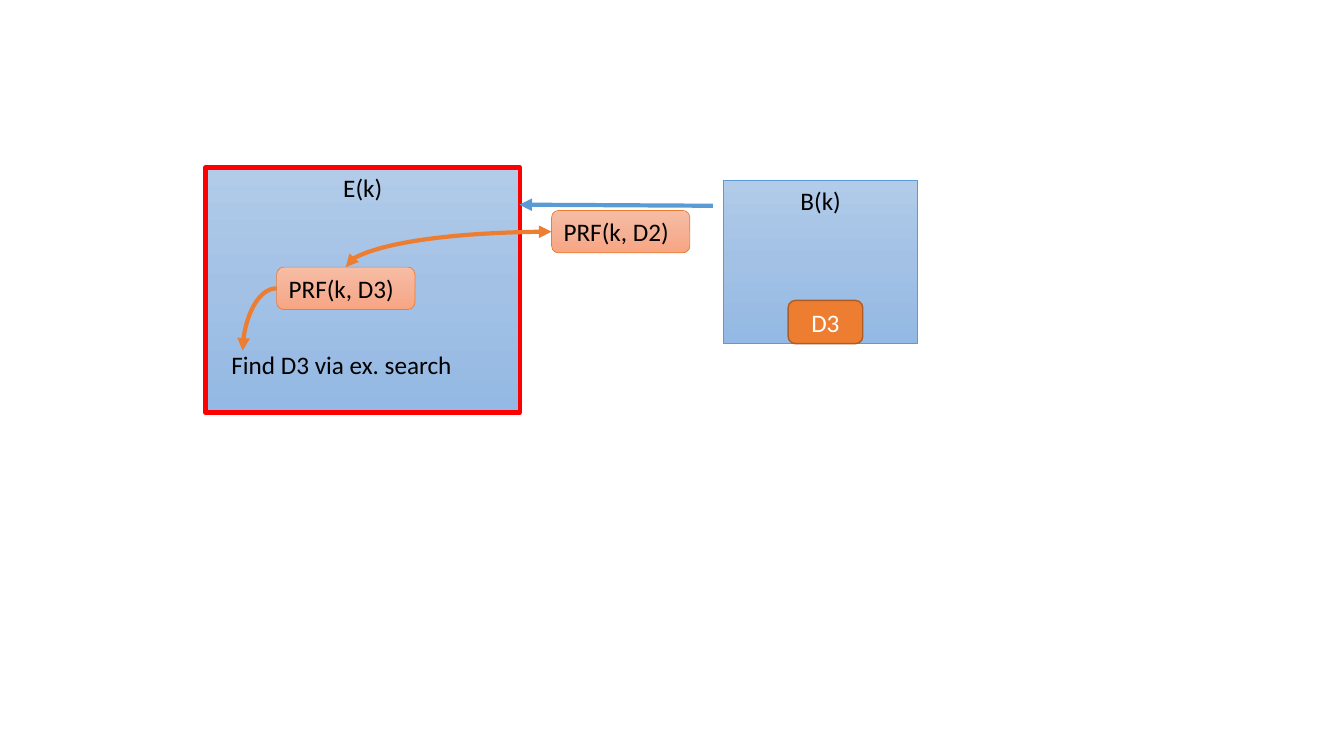
"""Build the slide on the PRF key search between E(k) and B(k)."""
from copy import deepcopy

from pptx import Presentation
from pptx.dml.color import RGBColor
from pptx.enum.shapes import MSO_CONNECTOR as CONNECTOR, MSO_SHAPE as SHAPE
from pptx.enum.text import MSO_ANCHOR as ANCHOR, MSO_AUTO_SIZE as AUTO_SIZE, PP_ALIGN as ALIGN
from pptx.oxml.ns import qn
from pptx.oxml.xmlchemy import OxmlElement
from pptx.util import Pt

BLACK = RGBColor(0x00, 0x00, 0x00)
WHITE = RGBColor(0xFF, 0xFF, 0xFF)
RED = RGBColor(0xFF, 0x00, 0x00)
BLUE = RGBColor(0x5B, 0x9B, 0xD5)
ORANGE = RGBColor(0xED, 0x7D, 0x31)
BROWN = RGBColor(0xAF, 0x5C, 0x24)
BLUE_SHADES = [RGBColor(0xB1, 0xCB, 0xE9), RGBColor(0xA3, 0xC1, 0xE5), RGBColor(0x93, 0xB9, 0xE4)]
ORANGE_SHADES = [RGBColor(0xF7, 0xBD, 0xA5), RGBColor(0xF5, 0xB1, 0x96), RGBColor(0xF8, 0xA5, 0x82)]


def write(shape, text, color, align, anchor):
    frame = shape.text_frame
    frame.text = text
    frame.vertical_anchor = anchor
    paragraph = frame.paragraphs[0]
    paragraph.alignment = align
    font = paragraph.runs[0].font
    font.name, font.size = "Calibri", Pt(18)
    font.color.rgb = color


def shade_downwards(shape, shades):
    fill = shape.fill
    fill.gradient()
    fill.gradient_angle = 270
    stop_list = shape._element.spPr.find(qn("a:gradFill")).find(qn("a:gsLst"))
    stop_list.insert(1, deepcopy(stop_list[0]))
    for index, (stop, shade) in enumerate(zip(fill.gradient_stops, shades)):
        stop.position = index / 2
        stop.color.rgb = shade


def add_box(slide, kind, box, text, shades, outline, weight,
            color=BLACK, align=ALIGN.CENTER, anchor=ANCHOR.MIDDLE):
    shape = slide.shapes.add_shape(kind, *map(Pt, box))
    shape.shadow.inherit = False
    if len(shades) > 1:
        shade_downwards(shape, shades)
    else:
        shape.fill.solid()
        shape.fill.fore_color.rgb = shades[0]
    shape.line.color.rgb = outline
    shape.line.width = Pt(weight)
    write(shape, text, color, align, anchor)


def add_party(slide, box, text, outline, weight):
    add_box(slide, SHAPE.RECTANGLE, box, text, BLUE_SHADES, outline, weight, anchor=ANCHOR.TOP)


def add_prf(slide, left, top, text):
    add_box(slide, SHAPE.ROUNDED_RECTANGLE, (left, top, 98.8, 30.3), text,
            ORANGE_SHADES, ORANGE, 0.5, align=ALIGN.LEFT)


def add_label(slide, box, text):
    label = slide.shapes.add_textbox(*map(Pt, box))
    label.text_frame.word_wrap = False
    label.text_frame.auto_size = AUTO_SIZE.SHAPE_TO_FIT_TEXT
    write(label, text, BLACK, ALIGN.LEFT, ANCHOR.TOP)


def add_arrow(slide, start, end, color, curved=False, ends=("tailEnd",)):
    kind = CONNECTOR.CURVE if curved else CONNECTOR.STRAIGHT
    arrow = slide.shapes.add_connector(kind, *map(Pt, start + end))
    arrow.line.color.rgb = color
    arrow.line.width = Pt(3)
    properties = arrow._element.spPr
    if curved:
        properties.find(qn("a:prstGeom")).set("prst", "curvedConnector2")
    for end_name in ends:
        head = OxmlElement(f"a:{end_name}")
        head.set("type", "triangle")
        arrow.line._get_or_add_ln().append(head)
    properties.append(OxmlElement("a:effectLst"))


def main():
    presentation = Presentation()
    presentation.slide_width, presentation.slide_height = Pt(960), Pt(540)
    slide = presentation.slides.add_slide(presentation.slide_layouts[6])

    add_party(slide, (146.8, 119.7, 224.6, 175), "E(k)", RED, 3)
    add_party(slide, (516.8, 128.9, 138.8, 116.4), "B(k)", BLUE, 0.5)
    add_box(slide, SHAPE.ROUNDED_RECTANGLE, (563, 214.6, 53.3, 30.9), "D3",
            [ORANGE], BROWN, 1, color=WHITE)
    add_arrow(slide, (509.2, 147), (371, 146.2), BLUE)
    add_prf(slide, 394, 150.3, "PRF(k, D2)")
    add_prf(slide, 197.6, 190.8, "PRF(k, D3)")
    add_arrow(slide, (394, 165.5), (247, 190.8), ORANGE, True, ("headEnd", "tailEnd"))
    add_label(slide, (158.2, 245.8, 173.5, 29.1), "Find D3 via ex. search")
    add_arrow(slide, (197.6, 206), (173.4, 250.5), ORANGE, True)

    presentation.save("out.pptx")


main()
